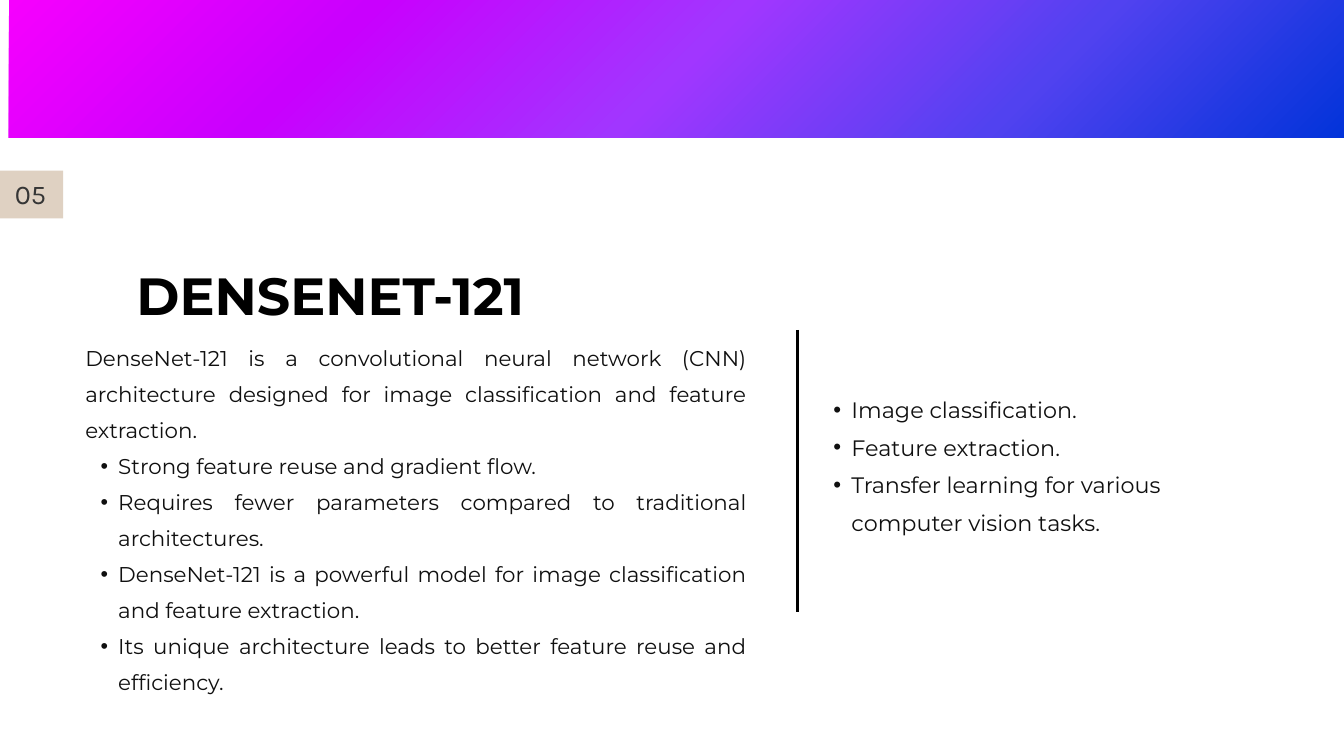
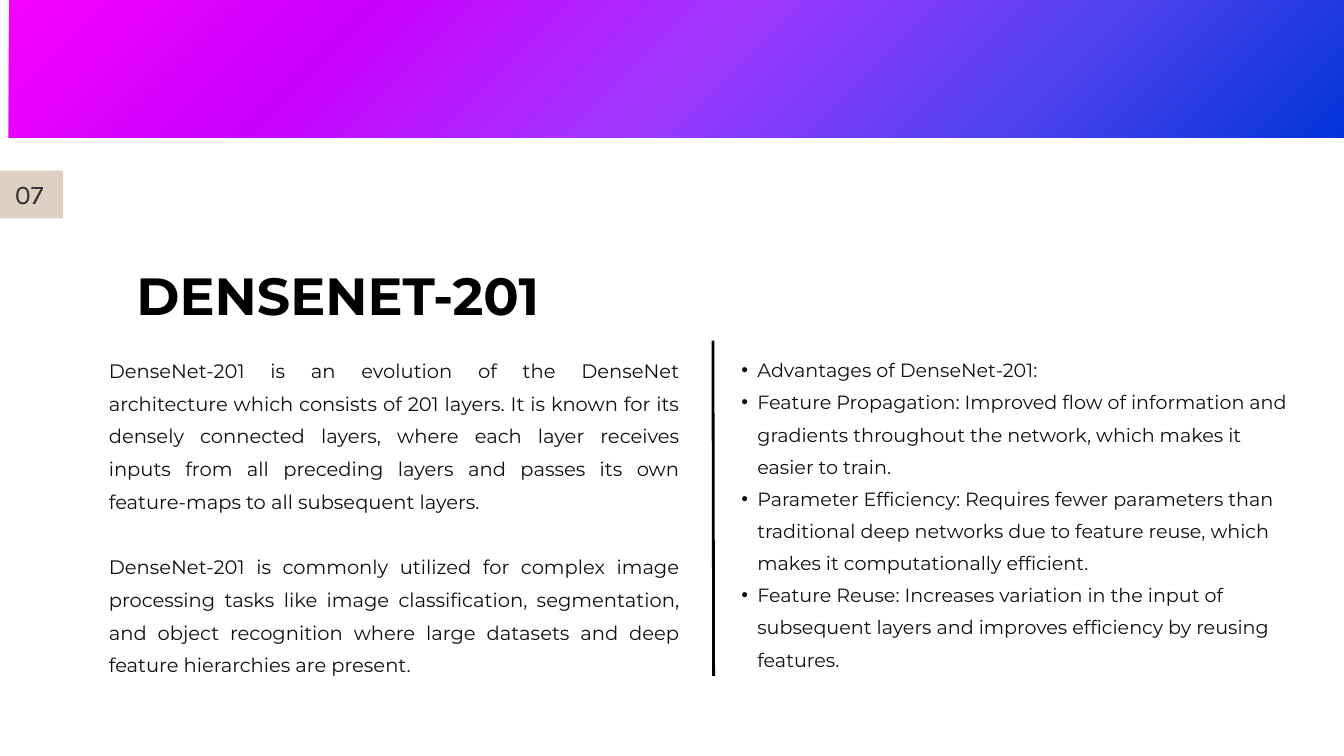
"""Build two slides that present the DenseNet-121 and DenseNet-201 architectures."""
from lxml.etree import SubElement
from pptx import Presentation
from pptx.dml.color import RGBColor
from pptx.enum.shapes import MSO_CONNECTOR, MSO_SHAPE
from pptx.enum.text import MSO_ANCHOR, MSO_AUTO_SIZE, PP_ALIGN
from pptx.oxml import parse_xml
from pptx.oxml.ns import nsdecls, qn
from pptx.util import Pt

BLACK, INK, BADGE_FILL, BADGE_INK = "000000", "101010", "DFD1C2", "363636"
BAND_COLOURS = ["F600FE", "C900FE", "A136FF", "5142F0", "0033D9"]
TITLE_BOUNDS = (146.2, 255.6, 661, 67.7)
BAND_BOUNDS = (9.4, 0, 1440, 147.6)
BADGE_BOUNDS = (0, 182.9, 67.7, 51.1)
BULLET_MARGIN = 35.3
LEFT, JUSTIFY = PP_ALIGN.LEFT, PP_ALIGN.JUSTIFY

SLIDES = [
    {
        "number": "05",
        "title": "DENSENET-121",
        "divider": (854.6, 353.5, 854.6, 656),
        "columns": [
            {
                "bounds": (877, 413.3, 468.7, 191.5),
                "size": 23.9, "hanging": 19.4, "align": LEFT,
                "intro": [],
                "bullets": [
                    "Image classification.",
                    "Feature extraction.",
                    "Transfer learning for various computer vision tasks.",
                ],
            },
            {
                "bounds": (91.4, 359.3, 708.5, 455.8),
                "size": 22.9, "hanging": 18.7, "align": JUSTIFY,
                "intro": [
                    "DenseNet-121 is a convolutional neural network (CNN) architecture "
                    "designed for image classification and feature extraction.",
                ],
                "bullets": [
                    "Strong feature reuse and gradient flow.",
                    "Requires fewer parameters compared to traditional architectures.",
                    "DenseNet-121 is a powerful model for image classification and "
                    "feature extraction.",
                    "Its unique architecture leads to better feature reuse and efficiency.",
                ],
            },
        ],
    },
    {
        "number": "07",
        "title": "DENSENET-201",
        "divider": (763.9, 365, 764.6, 724.3),
        "columns": [
            {
                "bounds": (776.2, 374.4, 611.3, 372.2),
                "size": 20.5, "hanging": 17.3, "align": LEFT,
                "intro": [],
                "bullets": [
                    "Advantages of DenseNet-201:",
                    "Feature Propagation: Improved flow of information and gradients "
                    "throughout the network, which makes it easier to train.",
                    "Parameter Efficiency: Requires fewer parameters than traditional deep "
                    "networks due to feature reuse, which makes it computationally efficient.",
                    "Feature Reuse: Increases variation in the input of subsequent layers "
                    "and improves efficiency by reusing features.",
                ],
            },
            {
                "bounds": (116.6, 374.4, 611.3, 344.9),
                "size": 20.9, "hanging": 0, "align": JUSTIFY,
                "intro": [
                    "DenseNet-201 is an evolution of the DenseNet architecture which consists "
                    "of 201 layers. It is known for its densely connected layers, where each "
                    "layer receives inputs from all preceding layers and passes its own "
                    "feature-maps to all subsequent layers.",
                    "DenseNet-201 is commonly utilized for complex image processing tasks like "
                    "image classification, segmentation, and object recognition where large "
                    "datasets and deep feature hierarchies are present.",
                ],
                "bullets": [],
            },
        ],
    },
]


def colour(value):
    return RGBColor.from_string(value)


def add_text(page, bounds, lines, size, ink, align=LEFT, bold=False):
    box = page.shapes.add_textbox(*map(Pt, bounds))
    frame = box.text_frame
    frame.text = "\n".join(lines)
    frame.word_wrap = True
    frame.auto_size = MSO_AUTO_SIZE.SHAPE_TO_FIT_TEXT
    frame.margin_left = frame.margin_top = frame.margin_right = frame.margin_bottom = 0
    for para in frame.paragraphs:
        para.alignment = align
        para.line_spacing = 1.4
        font = para.runs[0].font
        font.name, font.size, font.bold = "Montserrat", Pt(size), bold
        font.color.rgb = colour(ink)
    return frame.paragraphs


deck = Presentation()
deck.slide_width, deck.slide_height = Pt(1440), Pt(810)

for content in SLIDES:
    page = deck.slides.add_slide(deck.slide_layouts[6])
    add_text(page, TITLE_BOUNDS, [content["title"]], 56, BLACK, bold=True)

    for column in content["columns"]:
        intro, bullets = column["intro"], column["bullets"]
        paras = add_text(page, column["bounds"], intro + bullets, column["size"], INK, column["align"])
        for para in paras[:len(intro) - 1] if intro else []:
            para.space_after = Pt(35)
        for para in paras[len(intro):]:
            para.level = 1
            properties = para._p.get_or_add_pPr()
            properties.set("marL", str(Pt(BULLET_MARGIN)))
            properties.set("indent", str(-Pt(column["hanging"])))
            bullet_colour = SubElement(properties, qn("a:buClr"))
            SubElement(bullet_colour, qn("a:srgbClr"), val=INK)
            SubElement(properties, qn("a:buFont"), typeface="Arial")
            SubElement(properties, qn("a:buChar"), char="•")

    band = page.shapes.add_shape(MSO_SHAPE.RECTANGLE, *map(Pt, BAND_BOUNDS))
    band.shadow.inherit = False
    band.line.fill.background()
    stops = "".join(
        f'<a:gs pos="{index * 25000}"><a:srgbClr val="{value}"/></a:gs>'
        for index, value in enumerate(BAND_COLOURS)
    )
    gradient = parse_xml(
        f'<a:gradFill {nsdecls("a")} rotWithShape="1"><a:gsLst>{stops}</a:gsLst>'
        '<a:lin ang="2700000" scaled="0"/></a:gradFill>'
    )
    band._element.spPr.find(qn("a:prstGeom")).addnext(gradient)

    divider = page.shapes.add_connector(MSO_CONNECTOR.STRAIGHT, *map(Pt, content["divider"]))
    divider.line.color.rgb = colour(BLACK)
    divider.line.width = Pt(3)
    SubElement(divider._element.spPr, qn("a:effectLst"))

    badge = page.shapes.add_shape(MSO_SHAPE.RECTANGLE, *map(Pt, BADGE_BOUNDS))
    badge.shadow.inherit = False
    badge.fill.solid()
    badge.fill.fore_color.rgb = colour(BADGE_FILL)
    badge.line.fill.background()
    frame = badge.text_frame
    frame.text = content["number"]
    frame.vertical_anchor = MSO_ANCHOR.TOP
    frame.margin_left, frame.margin_top = Pt(16), Pt(7.2)
    frame.margin_right, frame.margin_bottom = 0, Pt(7.2)
    frame.paragraphs[0].alignment = LEFT
    span = frame.paragraphs[0].runs[0]
    span.font.name, span.font.size = "Karla", Pt(29)
    span.font.color.rgb = colour(BADGE_INK)

deck.save("out.pptx")
